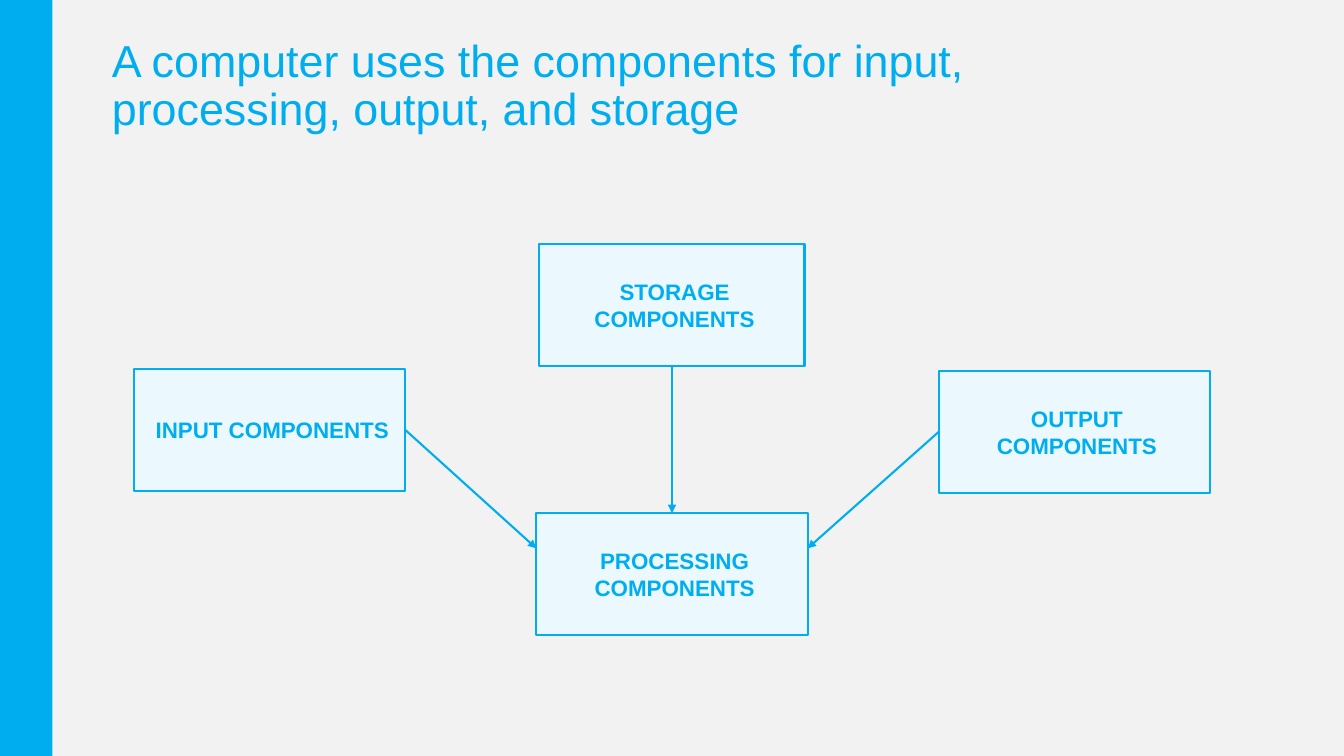
from lxml import etree
from pptx import Presentation
from pptx.dml.color import RGBColor
from pptx.enum import shapes, text
from pptx.oxml import ns
from pptx.util import Inches, Pt

COLORS = {"page": "F2F2F2", "accent": "00AEEF", "box": "EBF9FE"}
SLIDE_W, SLIDE_H = 13.33, 7.5
BAR_W = 0.52
BOX_H = 1.21
TITLE = "A computer uses the components for input, processing, output, and storage"
BOXES = {
    "INPUT": (1.33, 3.66, 2.69),
    "STORAGE": (5.35, 2.42, 2.63),
    "OUTPUT": (9.31, 3.68, 2.69),
    "PROCESSING": (5.32, 5.09, 2.69),
}
TOP, LEFT, BOTTOM, RIGHT = range(4)
ARROWS = [
    ("OUTPUT", LEFT, (8.01, 5.44), None),
    ("INPUT", RIGHT, (5.32, 5.44), None),
    ("STORAGE", BOTTOM, (6.67, 5.09), TOP),
]


def color(name):
    return RGBColor.from_string(COLORS[name])


def add_rect(slide, x, y, w, h, fill, outlined=False):
    sp = slide.shapes.add_shape(
        shapes.MSO_SHAPE.RECTANGLE, Inches(x), Inches(y), Inches(w), Inches(h))
    sp.shadow.inherit = False
    sp.fill.solid()
    sp.fill.fore_color.rgb = color(fill)
    if outlined:
        sp.line.color.rgb = color("accent")
        sp.line.width = Pt(1.5)
    else:
        sp.line.fill.background()
    return sp


def write(sp, words, size, bold=False, align=text.PP_ALIGN.LEFT,
          margins=(0, 0, 0, 0), spacing=1.0, indent=0):
    tf = sp.text_frame
    tf.word_wrap = True
    tf.vertical_anchor = text.MSO_ANCHOR.MIDDLE
    tf.margin_left, tf.margin_top, tf.margin_right, tf.margin_bottom = map(Inches, margins)
    p = tf.paragraphs[0]
    p.alignment = align
    p.line_spacing = spacing
    if indent:
        p._p.get_or_add_pPr().set("marL", str(Inches(indent)))
    r = p.add_run()
    r.text = words
    r.font.name = "Arial"
    r.font.size = Pt(size)
    r.font.bold = bold
    r.font.color.rgb = color("accent")


def add_arrow(slide, boxes, source, side, end, target_side):
    line = slide.shapes.add_connector(
        shapes.MSO_CONNECTOR.STRAIGHT, 0, 0, Inches(end[0]), Inches(end[1]))
    line.begin_connect(boxes[source], side)
    if target_side is not None:
        line.end_connect(boxes["PROCESSING"], target_side)
    line.line.color.rgb = color("accent")
    line.line.width = Pt(1.5)
    etree.SubElement(line.line._get_or_add_ln(), ns.qn("a:tailEnd"), type="triangle")
    etree.SubElement(line._element.spPr, ns.qn("a:effectLst"))


def main():
    prs = Presentation()
    prs.slide_width, prs.slide_height = Inches(SLIDE_W), Inches(SLIDE_H)
    s = prs.slides.add_slide(prs.slide_layouts[6])
    add_rect(s, 0, 0, SLIDE_W, SLIDE_H, "page")
    add_rect(s, 0, 0, BAR_W, SLIDE_H, "accent")

    title = s.shapes.add_textbox(Inches(1.11), Inches(0.22), Inches(9.48), Inches(1.29))
    write(title, TITLE, 32, spacing=0.9)

    boxes = {}
    for name, (x, y, w) in BOXES.items():
        boxes[name] = add_rect(s, x, y, w, BOX_H, "box", outlined=True)
        write(boxes[name], f"{name} COMPONENTS", 16, bold=True,
              align=text.PP_ALIGN.CENTER, margins=(0.04, 0.05, 0.1, 0.05), indent=0.11)

    for arrow in ARROWS:
        add_arrow(s, boxes, *arrow)

    prs.save("out.pptx")


if __name__ == "__main__":
    main()
